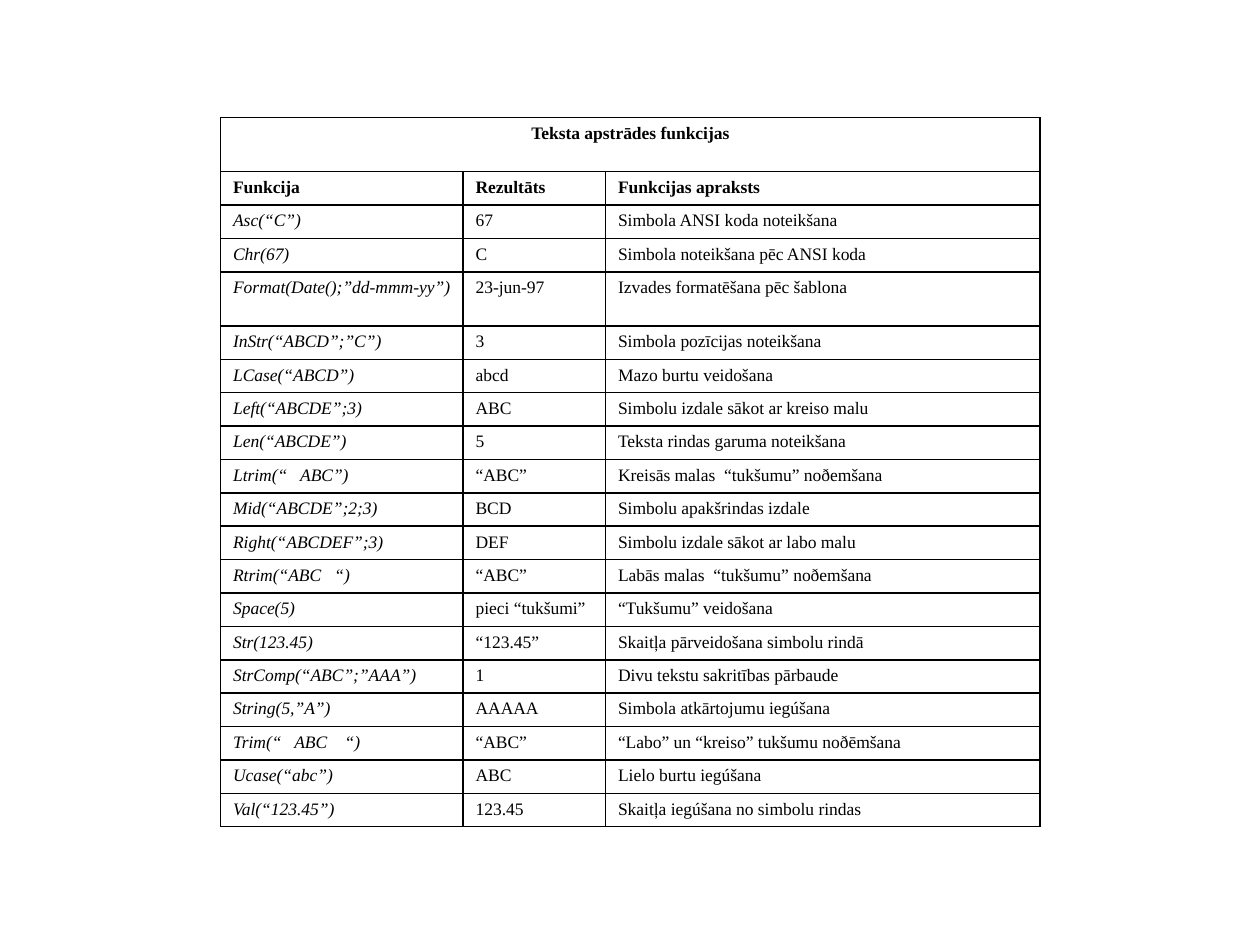
from dataclasses import dataclass

from lxml import etree
from pptx import Presentation
from pptx.dml.color import RGBColor
from pptx.enum.text import PP_ALIGN
from pptx.oxml.ns import qn
from pptx.util import Pt

CENTER = PP_ALIGN.CENTER
LEFT = PP_ALIGN.LEFT
JUSTIFY = PP_ALIGN.JUSTIFY
BLANK_LAYOUT = 6

TITLE = "Teksta apstrādes funkcijas"
HEADERS = ("Funkcija", "Rezultāts", "Funkcijas apraksts")
FUNCTIONS = [
    ("Asc(“C”)", "67", "Simbola ANSI koda noteikšana"),
    ("Chr(67)", "C", "Simbola noteikšana pēc ANSI koda"),
    ("Format(Date();”dd-mmm-yy”)", "23-jun-97", "Izvades formatēšana pēc šablona"),
    ("InStr(“ABCD”;”C”)", "3", "Simbola pozīcijas noteikšana"),
    ("LCase(“ABCD”)", "abcd", "Mazo burtu veidošana"),
    ("Left(“ABCDE”;3)", "ABC", "Simbolu izdale sākot ar kreiso malu"),
    ("Len(“ABCDE”)", "5", "Teksta rindas garuma noteikšana"),
    ("Ltrim(“   ABC”)", "“ABC”", "Kreisās malas  “tukšumu” noðemšana"),
    ("Mid(“ABCDE”;2;3)", "BCD", "Simbolu apakšrindas izdale"),
    ("Right(“ABCDEF”;3)", "DEF", "Simbolu izdale sākot ar labo malu"),
    ("Rtrim(“ABC   “)", "“ABC”", "Labās malas  “tukšumu” noðemšana"),
    ("Space(5)", "pieci “tukšumi”", "“Tukšumu” veidošana"),
    ("Str(123.45)", "“123.45”", "Skaitļa pārveidošana simbolu rindā"),
    ("StrComp(“ABC”;”AAA”)", "1", "Divu tekstu sakritības pārbaude"),
    ("String(5,”A”)", "AAAAA", "Simbola atkārtojumu iegúšana"),
    ("Trim(“   ABC    “)", "“ABC”", "“Labo” un “kreiso” tukšumu noðēmšana"),
    ("Ucase(“abc”)", "ABC", "Lielo burtu iegúšana"),
    ("Val(“123.45”)", "123.45", "Skaitļa iegúšana no simbolu rindas"),
]
TABLE_LEFT, TABLE_TOP = 126, 67.2
COLUMN_WIDTHS = (138.6, 81.4, 248.4)
ROW_HEIGHT, TALL_ROW_HEIGHT = 19.1, 30.9
TALL_ROWS = (0, 4)


@dataclass(frozen=True)
class Theme:
    font: str = "Times New Roman"
    size: float = 10
    ink: str = "000000"
    border: float = 0.96
    inset_x: float = 7.2
    inset_y: float = 3.6


class SlideBuilder:
    def __init__(self, theme, slide):
        self.theme = theme
        self.slide = slide

    def table(self, left, top, widths, heights):
        frame = self.slide.shapes.add_table(
            len(heights), len(widths), Pt(left), Pt(top),
            Pt(sum(widths)), Pt(sum(heights)))
        table = frame.table
        table.first_row = False
        table.horz_banding = False
        for column, width in zip(table.columns, widths):
            column.width = Pt(width)
        for row, height in zip(table.rows, heights):
            row.height = Pt(height)
        for cell in table.iter_cells():
            self.borders(cell)
            cell.fill.background()
        return table

    def borders(self, cell):
        tc_pr = cell._tc.get_or_add_tcPr()
        for side in ("a:lnL", "a:lnR", "a:lnT", "a:lnB"):
            ln = etree.SubElement(tc_pr, qn(side), w=str(Pt(self.theme.border)))
            fill = etree.SubElement(ln, qn("a:solidFill"))
            etree.SubElement(fill, qn("a:srgbClr"), val=self.theme.ink)

    def cell(self, cell, text, align, bold=False, italic=False):
        theme = self.theme
        cell.margin_left = cell.margin_right = Pt(theme.inset_x)
        cell.margin_top = cell.margin_bottom = Pt(theme.inset_y)
        p = cell.text_frame.paragraphs[0]
        p.text = text
        p.alignment = align
        font = p.runs[0].font
        font.name = theme.font
        font.size = Pt(theme.size)
        font.color.rgb = RGBColor.from_string(theme.ink)
        font.bold = bold
        font.italic = italic


def main():
    prs = Presentation()
    prs.slide_width, prs.slide_height = Pt(720), Pt(540)
    s = prs.slides.add_slide(prs.slide_layouts[BLANK_LAYOUT])
    builder = SlideBuilder(Theme(), s)

    heights = [TALL_ROW_HEIGHT if i in TALL_ROWS else ROW_HEIGHT
               for i in range(len(FUNCTIONS) + 2)]
    table = builder.table(TABLE_LEFT, TABLE_TOP, COLUMN_WIDTHS, heights)

    table.cell(0, 0).merge(table.cell(0, len(HEADERS) - 1))
    builder.cell(table.cell(0, 0), TITLE, CENTER, bold=True)
    for col, header in enumerate(HEADERS):
        builder.cell(table.cell(1, col), header, LEFT, bold=True)
    for row, values in enumerate(FUNCTIONS, start=2):
        for col, value in enumerate(values):
            builder.cell(table.cell(row, col), value, JUSTIFY, italic=col == 0)

    prs.save("out.pptx")


if __name__ == "__main__":
    main()
